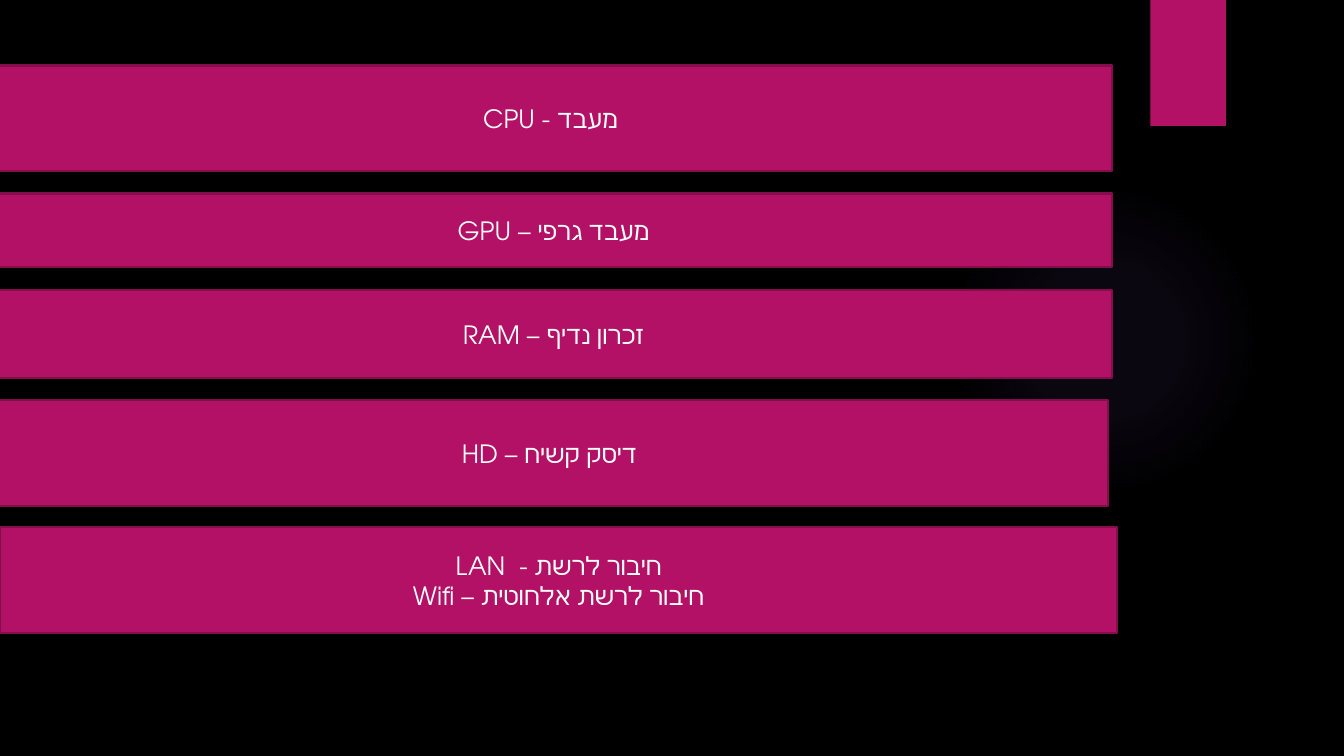
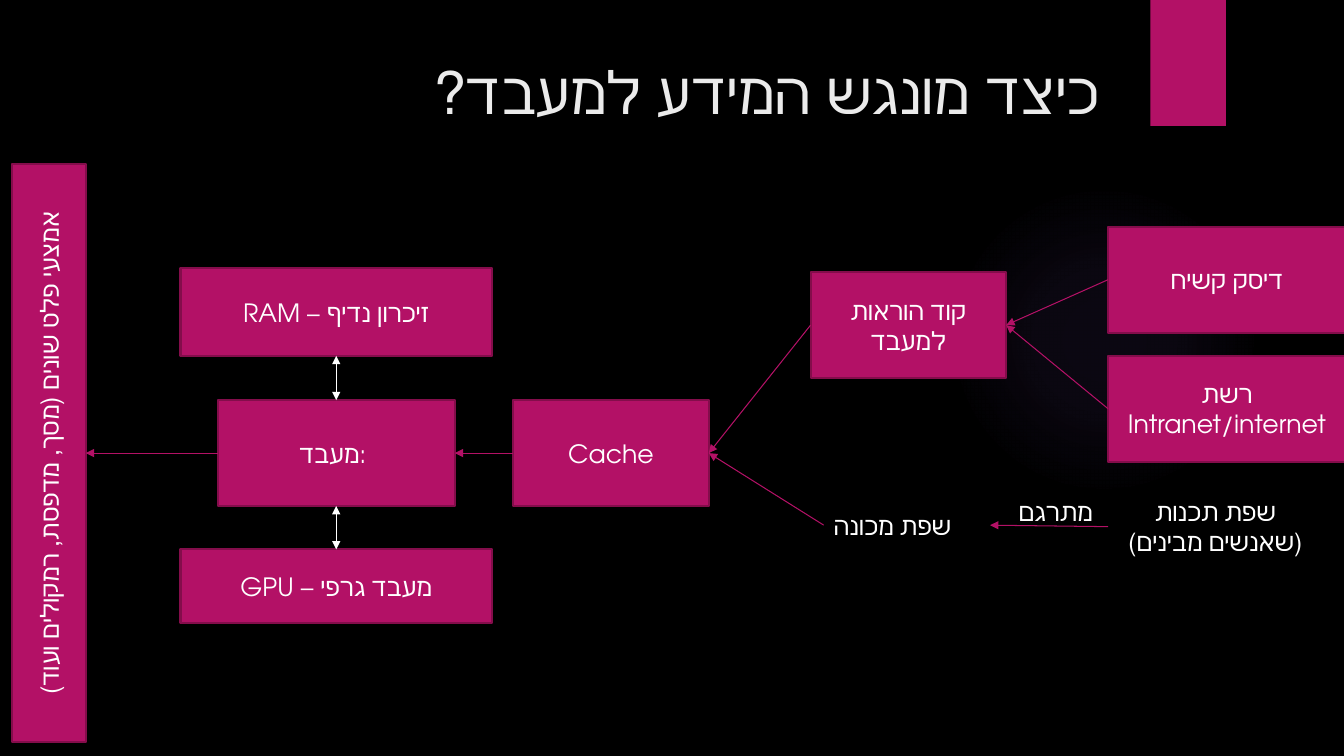
from pptx import Presentation
from pptx.dml.color import RGBColor
from pptx.enum.shapes import MSO_CONNECTOR, MSO_SHAPE
from pptx.enum.text import MSO_ANCHOR, MSO_AUTO_SIZE, PP_ALIGN
from pptx.oxml import parse_xml
from pptx.oxml.ns import nsdecls, qn
from pptx.util import Emu, Pt

PX = 9144
FONT = "TeX Gyre Adventor"
COLORS = {
    "background": "000000",
    "accent": "B31166",
    "border": "840D4B",
    "glow": "9B6BF2",
    "title": "EBEBEB",
    "text": "FFFFFF",
}
TITLE_ONLY, BLANK = 5, 6
TOP, LEFT, BOTTOM, RIGHT = range(4)
GLOW_STOPS = ((0, 7), (36, 6), (69, 0))


def px(*lengths):
    return [Emu(length * PX) for length in lengths]


def color(name):
    return RGBColor.from_string(COLORS[name])


def write(frame, text, size=18, tint="text", align=PP_ALIGN.CENTER,
          anchor=MSO_ANCHOR.MIDDLE, rtl=False):
    frame.word_wrap = True
    frame.auto_size = MSO_AUTO_SIZE.NONE
    frame.vertical_anchor = anchor
    frame.text = text
    for paragraph in frame.paragraphs:
        paragraph.alignment = align
        if rtl:
            paragraph._p.get_or_add_pPr().set("rtl", "1")
        for run in paragraph.runs:
            run.font.name = FONT
            run.font.size = Pt(size)
            run.font.color.rgb = color(tint)


def add_plain(slide, preset, area):
    shape = slide.shapes.add_shape(preset, *px(*area))
    shape.shadow.inherit = False
    shape.line.fill.background()
    return shape


def add_box(slide, area, text, vertical=False):
    box = add_plain(slide, MSO_SHAPE.RECTANGLE, area)
    box.fill.solid()
    box.fill.fore_color.rgb = color("accent")
    box.line.color.rgb = color("border")
    box.line.width = Pt(1.5)
    write(box.text_frame, text)
    if vertical:
        box.text_frame._txBody.bodyPr.set("vert", "vert270")
    return box


def add_label(slide, area, text, align=PP_ALIGN.CENTER):
    label = slide.shapes.add_textbox(*px(*area))
    write(label.text_frame, text, align=align, anchor=MSO_ANCHOR.TOP)
    return label


def add_arrow(slide, source, source_side, target, target_side, tint="accent",
              ends=("tailEnd",)):
    arrow = slide.shapes.add_connector(MSO_CONNECTOR.STRAIGHT, 0, 0, 0, 0)
    arrow.begin_connect(source, source_side)
    arrow.end_connect(target, target_side)
    arrow.line.color.rgb = color(tint)
    arrow.line.width = Pt(0.75)
    outline = arrow.line._get_or_add_ln()
    for end in ends:
        outline.append(outline.makeelement(qn(f"a:{end}"), {"type": "triangle"}))
    properties = arrow._element.spPr
    properties.append(properties.makeelement(qn("a:effectLst"), {}))


def add_glow(slide):
    glow = add_plain(slide, MSO_SHAPE.OVAL, (941, 183, 308, 308))
    stops = "".join(
        f'<a:gs pos="{position * 1000}"><a:srgbClr val="{COLORS["glow"]}">'
        f'<a:alpha val="{opacity * 1000}"/></a:srgbClr></a:gs>'
        for position, opacity in GLOW_STOPS
    )
    gradient = parse_xml(
        f'<a:gradFill {nsdecls("a")}><a:gsLst>{stops}</a:gsLst><a:path path="circle">'
        '<a:fillToRect l="50000" t="50000" r="50000" b="50000"/></a:path></a:gradFill>'
    )
    glow._element.spPr.find(qn("a:prstGeom")).addnext(gradient)


def add_base_slide(prs, layout):
    slide = prs.slides.add_slide(prs.slide_layouts[layout])
    add_glow(slide)
    bookmark = add_plain(slide, MSO_SHAPE.RECTANGLE, (1141, 0, 75, 125))
    bookmark.fill.solid()
    bookmark.fill.fore_color.rgb = color("accent")
    return slide


def set_title(slide, text):
    title = slide.shapes.title
    title.left, title.top, title.width, title.height = px(71, 50, 1029, 153)
    write(title.text_frame, text, size=42, tint="title", align=PP_ALIGN.RIGHT,
          anchor=MSO_ANCHOR.TOP, rtl=True)


def build_components(prs):
    slide = add_base_slide(prs, BLANK)
    for left, top, height, text in (
        (-5, 65, 105, "CPU - מעבד "),
        (-5, 192, 73, "GPU – מעבד גרפי"),
        (-5, 288, 87, "RAM – זכרון נדיף"),
        (-9, 397, 105, "HD – דיסק קשיח"),
        (0, 523, 105, "LAN  - חיבור לרשת\nWifi – חיבור לרשת אלחוטית"),
    ):
        add_box(slide, (left, top, 1108, height), text)


def build_data_flow(prs):
    slide = add_base_slide(prs, TITLE_ONLY)
    set_title(slide, "כיצד מונגש המידע למעבד?")

    processor = add_box(slide, (216, 397, 235, 105), "מעבד: ")
    memory = add_box(slide, (179, 266, 309, 87), "RAM – זיכרון נדיף")
    graphics = add_box(slide, (179, 545, 309, 73), "GPU – מעבד גרפי")
    output = add_box(slide, (12, 163, 73, 573),
                     "אמצעי פלט שונים (מסך, מדפסת, רמקולים ועוד)", vertical=True)
    cache = add_box(slide, (509, 397, 194, 105), "Cache")
    instructions = add_box(slide, (804, 270, 194, 105), "קוד הוראות למעבד")
    disk = add_box(slide, (1099, 225, 236, 105), "דיסק קשיח")
    network = add_box(slide, (1099, 353, 236, 105), "רשת\nIntranet/internet")
    machine_code = add_label(slide, (817, 501, 165, 40), "שפת מכונה", PP_ALIGN.LEFT)
    source_code = add_label(slide, (1099, 487, 213, 71), "שפת תכנות (שאנשים מבינים)")
    add_label(slide, (999, 487, 96, 40), "מתרגם")

    for source, target in (
        (disk, instructions),
        (network, instructions),
        (source_code, machine_code),
        (instructions, cache),
        (machine_code, cache),
        (cache, processor),
        (processor, output),
    ):
        add_arrow(slide, source, LEFT, target, RIGHT)
    for upper, lower in ((memory, processor), (processor, graphics)):
        add_arrow(slide, upper, BOTTOM, lower, TOP, tint="text",
                  ends=("headEnd", "tailEnd"))


def main():
    prs = Presentation()
    prs.slide_width, prs.slide_height = px(1333, 750)
    backdrop = prs.slide_master.background.fill
    backdrop.solid()
    backdrop.fore_color.rgb = color("background")
    build_components(prs)
    build_data_flow(prs)
    prs.save("out.pptx")


if __name__ == "__main__":
    main()
